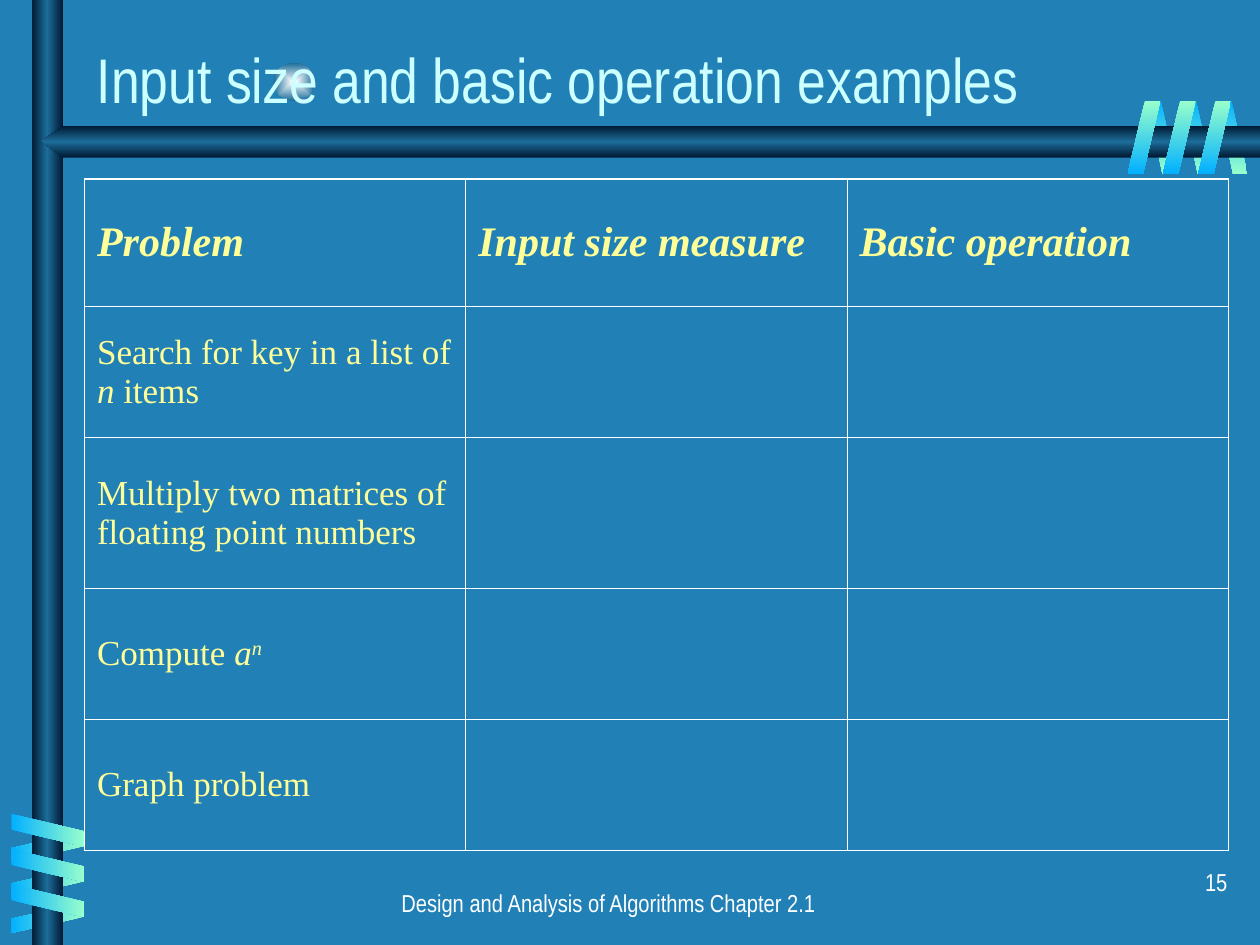
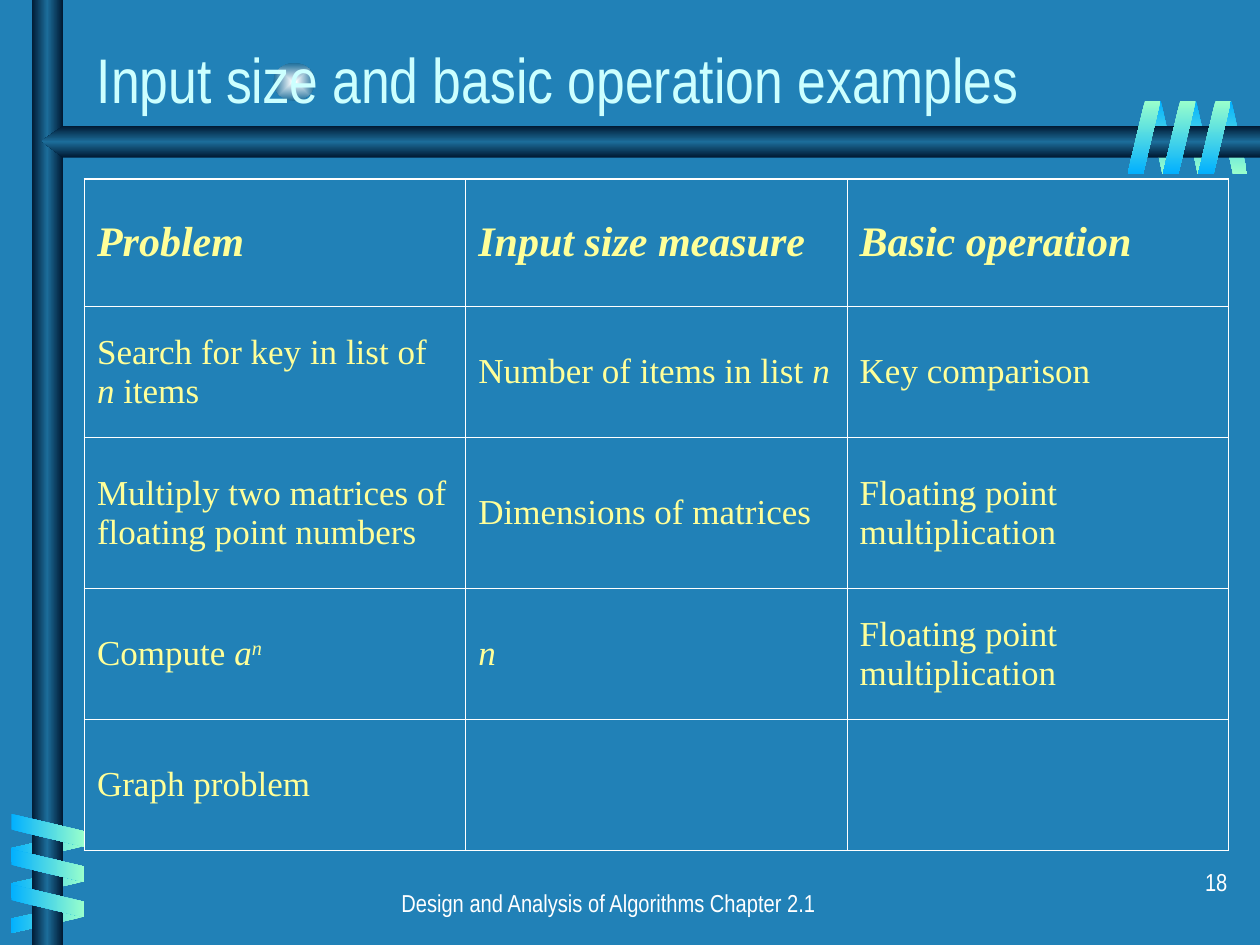
import lxml.etree
import pptx
import pptx.dml.color
import pptx.enum.shapes
import pptx.enum.text
import pptx.oxml.ns
import pptx.util

Inches = pptx.util.Inches
Pt = pptx.util.Pt
qn = pptx.oxml.ns.qn
SHAPES = pptx.enum.shapes.MSO_SHAPE
ALIGN = pptx.enum.text.PP_ALIGN
ANCHOR = pptx.enum.text.MSO_ANCHOR

BACKGROUND, TITLE, BODY, WHITE = "2181B7", "CCFFFF", "FFFF99", "FFFFFF"
BAR = ["001932", "1C6D9A", "001932"]
BLUE_TO_GREEN = ["01B0FF", "99FFCC"]
GREEN_TO_BLUE = BLUE_TO_GREEN[::-1]
GLOW = ["FEFFFF", "1C6D9A"]
HEADING_FONT, BODY_FONT = "Arial Narrow", "Times New Roman"
COIL_STEP = 0.28

HEADERS = ["Problem", "Input size measure", "Basic operation"]
ROW_HEIGHTS = [1.01, 1.04, 1.2, 1.04, 1.04]
N = ("n", "italic")
MULTIPLY = "Multiply two matrices of floating point numbers"
POWER = ["Compute ", ("a", "italic"), ("n", "superscript")]
MULTIPLICATION = "Floating point multiplication"
GRAPH = ["Graph problem", "", ""]


def color(value):
    return pptx.dml.color.RGBColor.from_string(value)


def child(parent, tag, **attributes):
    return lxml.etree.SubElement(parent, qn(tag), attributes)


class Deck:
    """Holds the presentation, its style and the slide being drawn."""

    def __init__(self):
        self.presentation = pptx.Presentation()
        self.presentation.slide_width = Inches(10)
        self.presentation.slide_height = Inches(7.5)
        self.slide = None

    def add_slide(self, title, number):
        self.slide = self.presentation.slides.add_slide(self.presentation.slide_layouts[6])
        fill = self.slide.background.fill
        fill.solid()
        fill.fore_color.rgb = color(BACKGROUND)
        self.decorate()
        self.text("Design and Analysis of Algorithms Chapter 2.1",
                  (1.33, 7, 7, 0.5), 14, WHITE, ALIGN.CENTER)
        self.text(str(number), (7.76, 6.83, 2.08, 0.5), 14, WHITE, ALIGN.RIGHT)
        self.text(title, (0.67, 0.22, 9.33, 0.75), 36, TITLE, anchor=ANCHOR.BOTTOM)

    def decorate(self):
        """Draw the bars, with one coil behind and in front of each."""
        self.shape(SHAPES.OVAL, (2.17, 0.5, 0.33, 0.3), GLOW)
        self.coil((9.66, 0.8, 0.24, 0.58), (-COIL_STEP, 0), BLUE_TO_GREEN, 90, 180, True)
        self.coil((0.25, 6.44, 0.24, 0.57), (0, COIL_STEP), GREEN_TO_BLUE, 0, 90, True)
        self.shape(SHAPES.RECTANGLE, (0.25, 0, 0.25, 7.5), BAR, 0)
        self.pointed_bar([(10, 1), (0.5, 1), (0.33, 1.12), (0.5, 1.25), (10, 1.25)])
        self.coil((0.25, 6.3, 0.26, 0.58), (0, COIL_STEP), BLUE_TO_GREEN, 0, 270)
        self.coil((9.51, 0.8, 0.26, 0.58), (-COIL_STEP, 0), GREEN_TO_BLUE, 90)

    def coil(self, box, step, colors, angle, rotation=0, flipped=False):
        """Draw three slanted strips, each moved by step from the one before."""
        left, top, width, height = box
        for index in range(3):
            place = (left + index * step[0], top + index * step[1], width, height)
            strip = self.shape(SHAPES.PARALLELOGRAM, place, colors, angle)
            strip.adjustments[0] = 0.53
            strip.rotation = rotation
            if flipped:
                strip._element.spPr.find(qn("a:xfrm")).set("flipH", "1")

    def shape(self, kind, box, colors, angle=None):
        shape = self.slide.shapes.add_shape(kind, *map(Inches, box))
        self.gradient(shape, colors, angle)
        return shape

    def pointed_bar(self, points):
        corners = [(Inches(x), Inches(y)) for x, y in points]
        builder = self.slide.shapes.build_freeform(*corners[0])
        builder.add_line_segments(corners[1:], close=True)
        self.gradient(builder.convert_to_shape(), BAR, 90)

    def gradient(self, shape, colors, angle):
        """Fill with evenly spaced colours; no angle means from the centre out."""
        shape.shadow.inherit = False
        shape.line.fill.background()
        shape.fill.background()
        properties = shape._element.spPr
        fill = lxml.etree.Element(qn("a:gradFill"), rotWithShape="0")
        stops = child(fill, "a:gsLst")
        for index, value in enumerate(colors):
            position = 100000 * index // (len(colors) - 1)
            child(child(stops, "a:gs", pos=str(position)), "a:srgbClr", val=value)
        if angle is None:
            center = child(fill, "a:path", path="rect")
            child(center, "a:fillToRect", **dict.fromkeys("ltrb", "50000"))
        else:
            child(fill, "a:lin", ang=str(angle * 60000), scaled="1")
        properties.replace(properties.find(qn("a:noFill")), fill)

    def format(self, run, font, size, value):
        run.font.name = font
        run.font.size = Pt(size)
        run.font.color.rgb = color(value)

    def text(self, text, box, size, value, align=ALIGN.LEFT, anchor=ANCHOR.TOP):
        frame = self.slide.shapes.add_textbox(*map(Inches, box)).text_frame
        frame.word_wrap = True
        frame.vertical_anchor = anchor
        frame.text = text
        paragraph = frame.paragraphs[0]
        paragraph.alignment = align
        self.format(paragraph.runs[0], HEADING_FONT, size, value)

    def table(self, rows):
        rows = [HEADERS] + rows
        last_row, last_column = len(rows) - 1, len(HEADERS) - 1
        frame = self.slide.shapes.add_table(len(rows), len(HEADERS), Inches(0.67), Inches(1.42),
                                            Inches(9.08), Inches(sum(ROW_HEIGHTS)))
        table = frame.table
        table.first_row = table.horz_banding = False
        for row, height in zip(table.rows, ROW_HEIGHTS):
            row.height = Inches(height)
        for row, contents in enumerate(rows):
            for column, content in enumerate(contents):
                cell = table.cell(row, column)
                self.borders(cell, L=column == 0, R=column == last_column,
                             T=row == 0, B=row == last_row)
                self.fill_cell(cell, content, row == 0)

    def borders(self, cell, **outer_sides):
        """Outer sides get a thicker line than inner ones."""
        properties = cell._tc.get_or_add_tcPr()
        for side, outer in outer_sides.items():
            width = Pt(1.08 if outer else 0.45)
            line = child(properties, "a:ln" + side, w=str(width))
            child(child(line, "a:solidFill"), "a:srgbClr", val=WHITE)

    def fill_cell(self, cell, content, header):
        """Write a string, or a list of strings and (text, style) pairs."""
        cell.fill.background()
        cell.vertical_anchor = ANCHOR.MIDDLE
        paragraph = cell.text_frame.paragraphs[0]
        for piece in content if isinstance(content, list) else [content]:
            text, style = piece if isinstance(piece, tuple) else (piece, "")
            if not text:
                continue
            run = paragraph.add_run()
            run.text = text
            self.format(run, BODY_FONT, 24 if header else 20, BODY)
            run.font.bold = header
            run.font.italic = header or bool(style)
            if style == "superscript":
                run.font._element.set("baseline", "30000")


def main():
    deck = Deck()
    title = "Input size and basic operation examples"

    deck.add_slide(title, 15)
    deck.table([
        [["Search for key in a list of ", N, " items"], "", ""],
        [MULTIPLY, "", ""],
        [POWER, "", ""],
        GRAPH,
    ])

    deck.add_slide(title, 18)
    deck.table([
        [["Search for key in list of ", N, " items"],
         ["Number of items in list ", N], "Key comparison"],
        [MULTIPLY, "Dimensions of matrices", MULTIPLICATION],
        [POWER, [N], MULTIPLICATION],
        GRAPH,
    ])

    deck.presentation.save("out.pptx")


if __name__ == "__main__":
    main()
